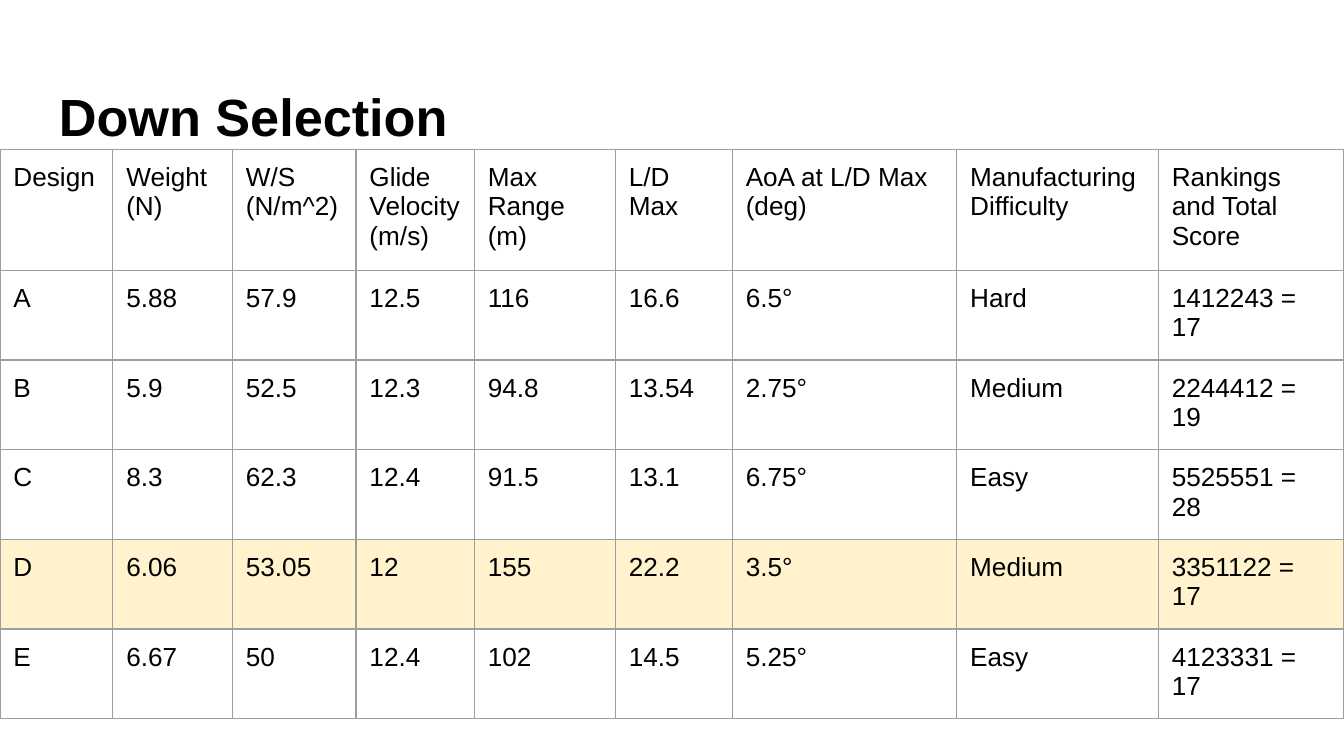
from lxml.etree import SubElement
from pptx import Presentation
from pptx.dml.color import RGBColor
from pptx.enum.text import MSO_ANCHOR
from pptx.oxml.ns import qn
from pptx.util import Inches, Pt

HEADINGS = ["Design", "Weight (N)", "W/S (N/m^2)", "Glide Velocity (m/s)",
            "Max Range (m)", "L/D Max", "AoA at L/D Max (deg)",
            "Manufacturing Difficulty", "Rankings and Total Score"]
DESIGNS = [
    ["A", "5.88", "57.9", "12.5", "116", "16.6", "6.5°", "Hard", "1412243 = 17"],
    ["B", "5.9", "52.5", "12.3", "94.8", "13.54", "2.75°", "Medium", "2244412 = 19"],
    ["C", "8.3", "62.3", "12.4", "91.5", "13.1", "6.75°", "Easy", "5525551 =\n28"],
    ["D", "6.06", "53.05", "12", "155", "22.2", "3.5°", "Medium", "3351122 = 17"],
    ["E", "6.67", "50", "12.4", "102", "14.5", "5.25°", "Easy", "4123331 = 17"],
]
COLUMN_WIDTHS = [0.84, 0.89, 0.92, 0.88, 1.05, 0.87, 1.67, 1.5, 1.38]
ROW_HEIGHT = 0.52
SELECTED_DESIGN = "D"


def color(value):
    return RGBColor.from_string(value)


class SlideBuilder:
    font = "Arial"
    ink = "000000"
    grid = "9E9E9E"
    highlight = "FFF2CC"
    inset = Inches(0.1)

    def __init__(self, slide):
        self.slide = slide

    def style_text(self, frame, size, bold=False):
        for paragraph in frame.paragraphs:
            paragraph.font.name = self.font
            paragraph.font.size = Pt(size)
            paragraph.font.bold = bold
            paragraph.font.color.rgb = color(self.ink)
            SubElement(paragraph._p, qn("a:endParaRPr"), sz=str(size * 100))

    def pad(self, holder):
        holder.margin_left = holder.margin_right = self.inset
        holder.margin_top = holder.margin_bottom = self.inset

    def title(self, text, left, top, width, height):
        box = self.slide.shapes.add_textbox(
            Inches(left), Inches(top), Inches(width), Inches(height))
        frame = box.text_frame
        frame.word_wrap = True
        frame.vertical_anchor = MSO_ANCHOR.TOP
        self.pad(frame)
        frame.margin_top = Inches(0.14)
        frame.text = text
        self.style_text(frame, 28, bold=True)

    def border(self, cell):
        properties = cell._tc.get_or_add_tcPr()
        for position, side in enumerate(("lnL", "lnR", "lnT", "lnB")):
            line = SubElement(properties, qn(f"a:{side}"), w=str(Pt(0.75)))
            fill = SubElement(line, qn("a:solidFill"))
            SubElement(fill, qn("a:srgbClr"), val=self.grid)
            properties.insert(position, line)

    def cell(self, cell, text, selected):
        cell.text = text
        self.pad(cell)
        self.style_text(cell.text_frame, 14)
        if selected:
            cell.fill.solid()
            cell.fill.fore_color.rgb = color(self.highlight)
        else:
            cell.fill.background()
        self.border(cell)

    def table(self, rows, left, top, widths, row_height, selected):
        table = self.slide.shapes.add_table(
            len(rows), len(widths), Inches(left), Inches(top),
            Inches(sum(widths)), Inches(row_height * len(rows))).table
        table.first_row = table.horz_banding = False
        for column, width in zip(table.columns, widths):
            column.width = Inches(width)
        for row, values in zip(table.rows, rows):
            row.height = Inches(row_height)
            for cell, value in zip(row.cells, values):
                self.cell(cell, value, values[0] == selected)


def main():
    deck = Presentation()
    deck.slide_width = Inches(10)
    deck.slide_height = Inches(10 * 9 / 16)
    builder = SlideBuilder(deck.slides.add_slide(deck.slide_layouts[6]))
    builder.title("Down Selection", 0.34, 0.49, 9.32, 0.63)
    builder.table([HEADINGS] + DESIGNS, 0, 1.11, COLUMN_WIDTHS, ROW_HEIGHT,
                  SELECTED_DESIGN)
    deck.save("out.pptx")


if __name__ == "__main__":
    main()
